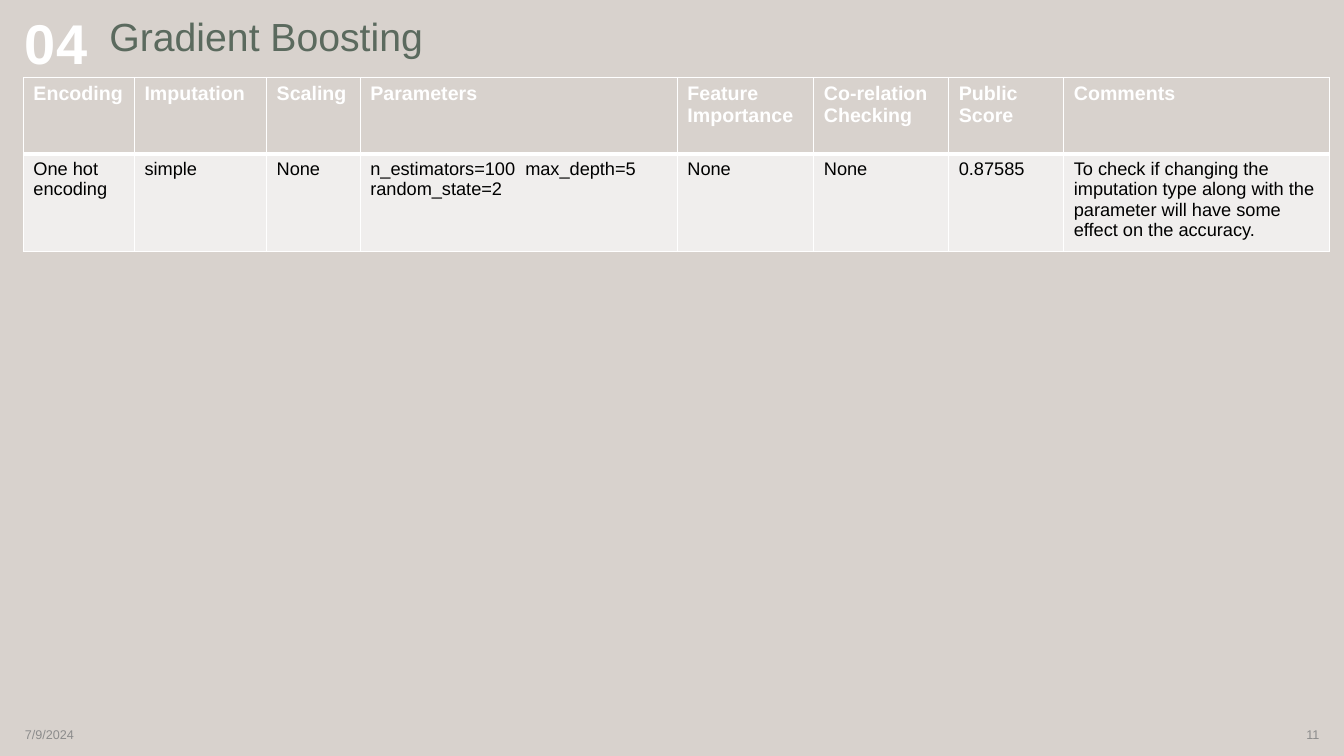
from dataclasses import dataclass

from lxml import etree
from pptx import Presentation
from pptx.dml.color import RGBColor
from pptx.enum.text import MSO_ANCHOR, PP_ALIGN
from pptx.oxml.ns import qn
from pptx.slide import Slide
from pptx.table import _Cell
from pptx.text.text import TextFrame
from pptx.util import Cm, Pt

TOP, MIDDLE = MSO_ANCHOR.TOP, MSO_ANCHOR.MIDDLE
LEFT, RIGHT = PP_ALIGN.LEFT, PP_ALIGN.RIGHT


@dataclass(frozen=True)
class Theme:
    font: str = "Arial"
    back: str = "D8D2CD"
    band: str = "F0EEED"
    white: str = "FFFFFF"
    black: str = "000000"
    green: str = "5B6A5E"
    gray: str = "8C8C8C"
    number: int = 40
    title: int = 28
    head: int = 14
    body: int = 13
    foot: int = 9
    thin: int = 1
    thick: int = 3


THEME = Theme()


@dataclass(frozen=True)
class Style:
    size: int
    color: str
    bold: bool = False


@dataclass(frozen=True)
class Label:
    text: str
    left: float
    top: float
    width: float
    height: float
    style: Style
    anchor: MSO_ANCHOR = MIDDLE
    align: PP_ALIGN = LEFT
    spacing: float = 1.0
    before: int = 0


@dataclass(frozen=True)
class Column:
    width: float
    head: str
    value: str


@dataclass(frozen=True)
class Row:
    style: Style
    fill: str
    above: int
    below: int


FOOT = Style(THEME.foot, THEME.gray)
LABELS = [
    Label("04", 0.38, 0.28, 4.7, 2.51, Style(THEME.number, THEME.white, True),
          anchor=TOP, spacing=0.9, before=10),
    Label("Gradient Boosting", 2.51, -0.15, 10.92, 2.24,
          Style(THEME.title, THEME.green), spacing=0.9),
    Label("7/9/2024", 0.38, 18.01, 7.62, 1.02, FOOT),
    Label("11", 25.88, 18.01, 7.62, 1.02, FOOT, align=RIGHT),
]

COLUMNS = [
    Column(2.8, "Encoding", "One hot encoding"),
    Column(3.33, "Imputation", "simple"),
    Column(2.36, "Scaling", "None"),
    Column(7.99, "Parameters", "n_estimators=100  max_depth=5 random_state=2"),
    Column(3.44, "Feature Importance", "None"),
    Column(3.4, "Co-relation Checking", "None"),
    Column(2.9, "Public Score", "0.87585"),
    Column(6.69, "Comments",
           "To check if changing the imputation type along with the "
           "parameter will have some effect on the accuracy."),
]
ROWS = [
    Row(Style(THEME.head, THEME.white, True), THEME.back, THEME.thin, THEME.thick),
    Row(Style(THEME.body, THEME.black), THEME.band, THEME.thick, THEME.thin),
]
ROW_HEIGHT = 1.93


def write(frame: TextFrame, text: str, style: Style) -> None:
    frame.text = text
    for run in frame.paragraphs[0].runs:
        font = run.font
        font.name = THEME.font
        font.size = Pt(style.size)
        font.bold = style.bold
        font.color.rgb = RGBColor.from_string(style.color)


def add_label(slide: Slide, label: Label) -> None:
    box = slide.shapes.add_textbox(
        Cm(label.left), Cm(label.top), Cm(label.width), Cm(label.height))
    frame = box.text_frame
    frame.word_wrap = True
    frame.vertical_anchor = label.anchor
    write(frame, label.text, label.style)
    para = frame.paragraphs[0]
    para.alignment = label.align
    para.line_spacing = label.spacing
    para.space_before = Pt(label.before)


def add_border(cell: _Cell, side: str, width: int) -> None:
    props = cell._tc.get_or_add_tcPr()
    line = etree.SubElement(props, qn(f"a:ln{side}"), w=str(Pt(width)))
    fill = etree.SubElement(line, qn("a:solidFill"))
    etree.SubElement(fill, qn("a:srgbClr"), val=THEME.white)


def fill_cell(cell: _Cell, text: str, row: Row) -> None:
    write(cell.text_frame, text, row.style)
    # Borders come before the fill in the cell properties
    widths = {"L": THEME.thin, "R": THEME.thin, "T": row.above, "B": row.below}
    for side, width in widths.items():
        add_border(cell, side, width)
    cell.fill.solid()
    cell.fill.fore_color.rgb = RGBColor.from_string(row.fill)


def add_grid(slide: Slide) -> None:
    total = sum(column.width for column in COLUMNS)
    table = slide.shapes.add_table(
        len(ROWS), len(COLUMNS), Cm(0.59), Cm(1.95),
        Cm(total), Cm(ROW_HEIGHT * len(ROWS))).table
    for x, column in enumerate(COLUMNS):
        table.columns[x].width = Cm(column.width)
        for y, text in enumerate((column.head, column.value)):
            fill_cell(table.cell(y, x), text, ROWS[y])


def main() -> None:
    deck = Presentation()
    deck.slide_width, deck.slide_height = Cm(33.87), Cm(19.05)
    slide = deck.slides.add_slide(deck.slide_layouts[6])

    # Background
    back = slide.background.fill
    back.solid()
    back.fore_color.rgb = RGBColor.from_string(THEME.back)

    # Heading and footer
    for label in LABELS:
        add_label(slide, label)

    # Results table
    add_grid(slide)
    deck.save("out.pptx")


if __name__ == "__main__":
    main()
